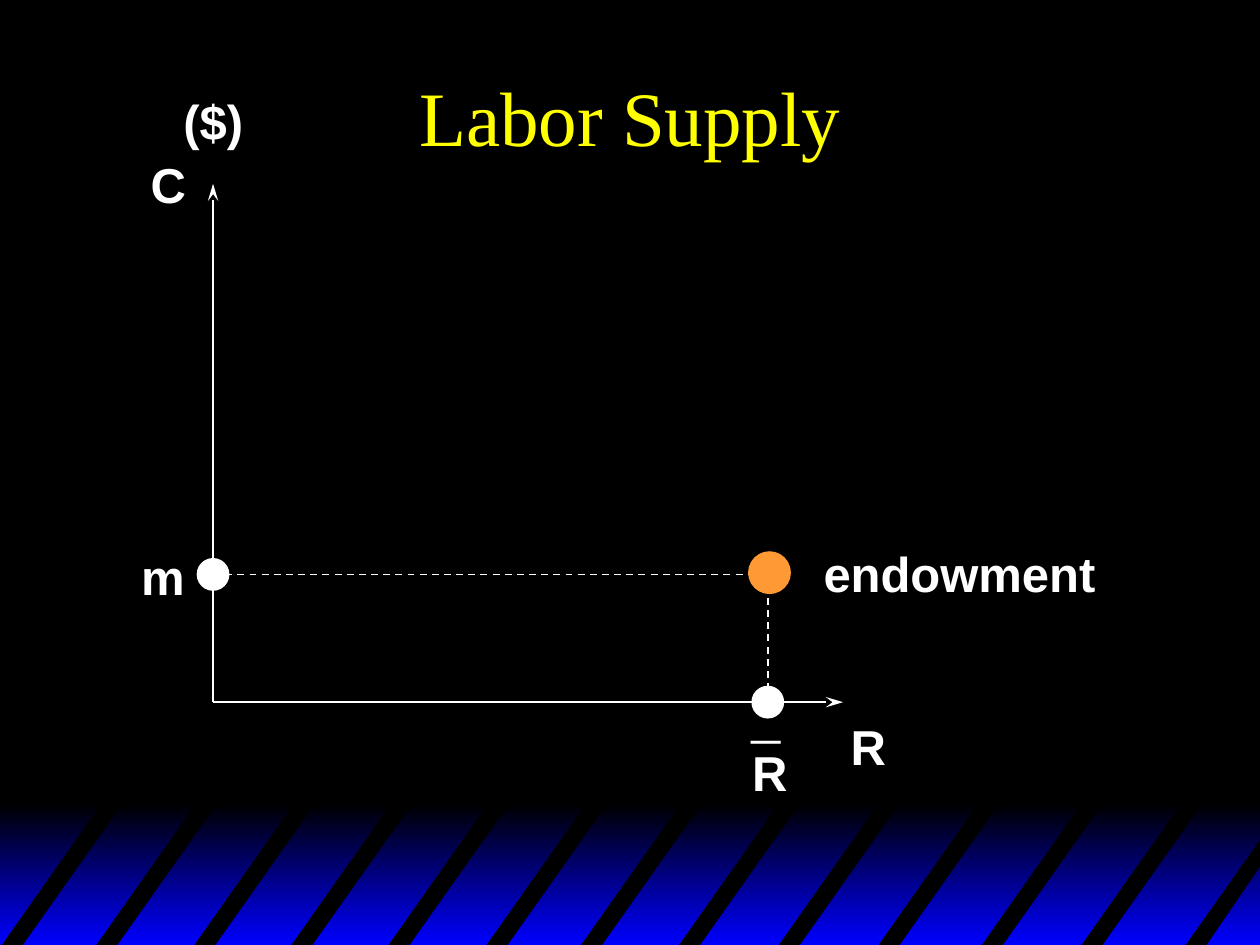
from lxml import etree
from pptx import Presentation
from pptx.dml.color import RGBColor
from pptx.enum.dml import MSO_LINE
from pptx.enum.shapes import MSO_CONNECTOR, MSO_SHAPE
from pptx.enum.text import MSO_ANCHOR, MSO_AUTO_SIZE, PP_ALIGN
from pptx.oxml.ns import qn
from pptx.util import Pt

LINE = MSO_CONNECTOR.STRAIGHT
DASH = MSO_LINE.DASH
RECT, OVAL = MSO_SHAPE.RECTANGLE, MSO_SHAPE.OVAL
MIDDLE, CENTER = MSO_ANCHOR.MIDDLE, PP_ALIGN.CENTER
GROW = MSO_AUTO_SIZE.SHAPE_TO_FIT_TEXT
BLACK, WHITE, BLUE = "000000", "FFFFFF", "0000FF"


def color(code):
    return RGBColor.from_string(code)


def write(frame, text, size=28, font="Arial", fill=WHITE, bold=True):
    run = frame.paragraphs[0].add_run()
    run.text = text
    run.font.size = Pt(size)
    run.font.name = font
    run.font.bold = bold
    run.font.color.rgb = color(fill)


deck = Presentation()
deck.slide_width, deck.slide_height = Pt(720), Pt(540)
slide = deck.slides.add_slide(deck.slide_layouts[5])
shapes = slide.shapes
slide.background.fill.solid()
slide.background.fill.fore_color.rgb = color(BLACK)

# Blue band fading in from the top
band = shapes.add_shape(RECT, Pt(0), Pt(459.5), Pt(721.5), Pt(80.5))
band.shadow.inherit = False
band.line.fill.background()
band.fill.gradient()
band.fill.gradient_angle = 270
for stop, code, place in zip(band.fill.gradient_stops, (BLACK, BLUE), (0, 1)):
    stop.color.rgb = color(code)
    stop.position = place

# Slanted black stripes, the last one cut at the right edge
low, high = 541.5, 456.5
lefts = [0, 54, 110, 165.5, 221, 277, 331, 387, 444, 501, 560, 617]
stripes = [[(x, low), (x + 60, high), (x + 72, high), (x + 12, low)]
           for x in lefts]
stripes.append([(676.5, low), (721.5, 478), (721.5, 493), (688.5, low)])
for stripe in stripes:
    start, *rest = [(Pt(x), Pt(y)) for x, y in stripe]
    path = shapes.build_freeform(*start)
    path.add_line_segments(rest)
    bar = path.convert_to_shape()
    bar.shadow.inherit = False
    bar.fill.solid()
    bar.fill.fore_color.rgb = color(BLACK)
    bar.line.fill.background()

# Title
title = shapes.title
title.left, title.top, title.width, title.height = (
    Pt(54), Pt(18), Pt(612), Pt(96))
title.text_frame.vertical_anchor = MIDDLE
title.text_frame.paragraphs[0].alignment = CENTER
write(title.text_frame, "Labor Supply", size=44, font="Times New Roman",
      fill="FFFF00", bold=False)

# Axes with arrowheads, and dashed guides to the endowment
left, base = 121.75, 401.25
right, level = 438.75, 328.25
for x1, y1, x2, y2, axis in [
    (left, base, left, 105, True),
    (left, base, 481.75, base, True),
    (right, base, right, level, False),
    (left, level, right, level, False),
]:
    line = shapes.add_connector(LINE, Pt(x1), Pt(y1), Pt(x2), Pt(y2))
    line.line.width = Pt(1)
    line.line.color.rgb = color(WHITE)
    if axis:
        tail = etree.SubElement(line.line._get_or_add_ln(), qn("a:tailEnd"))
        tail.set("type", "stealth")
        tail.set("len", "lg")
    else:
        line.line.dash_style = DASH
    etree.SubElement(line._element.spPr, qn("a:effectLst"))

# Points, placed by their centers
for x, y, size, code in [
    (right, base, 18.75, WHITE),
    (left, level, 18.75, WHITE),
    (439.75, 327.25, 24.5, "FF9933"),
]:
    dot = shapes.add_shape(OVAL, Pt(x - size / 2), Pt(y - size / 2),
                           Pt(size), Pt(size))
    dot.shadow.inherit = False
    dot.fill.solid()
    dot.fill.fore_color.rgb = color(code)
    dot.line.fill.background()

# Labels, in boxes that fit their text
for text, x, y, wide, size in [
    ("($)", 97.75, 49, 49, 28),
    ("C", 79, 85, 35, 28),
    ("m", 73.5, 309, 40, 28),
    ("endowment", 463.5, 307, 170, 28),
    ("R", 479, 406, 35, 28),
    ("R", 422.75, 421, 35, 28),
    ("─", 422, 404, 34, 24),
]:
    box = shapes.add_textbox(Pt(x), Pt(y), Pt(wide), Pt(size * 1.2 + 7.2))
    box.text_frame.word_wrap = False
    box.text_frame.auto_size = GROW
    write(box.text_frame, text, size=size)

deck.save("out.pptx")
